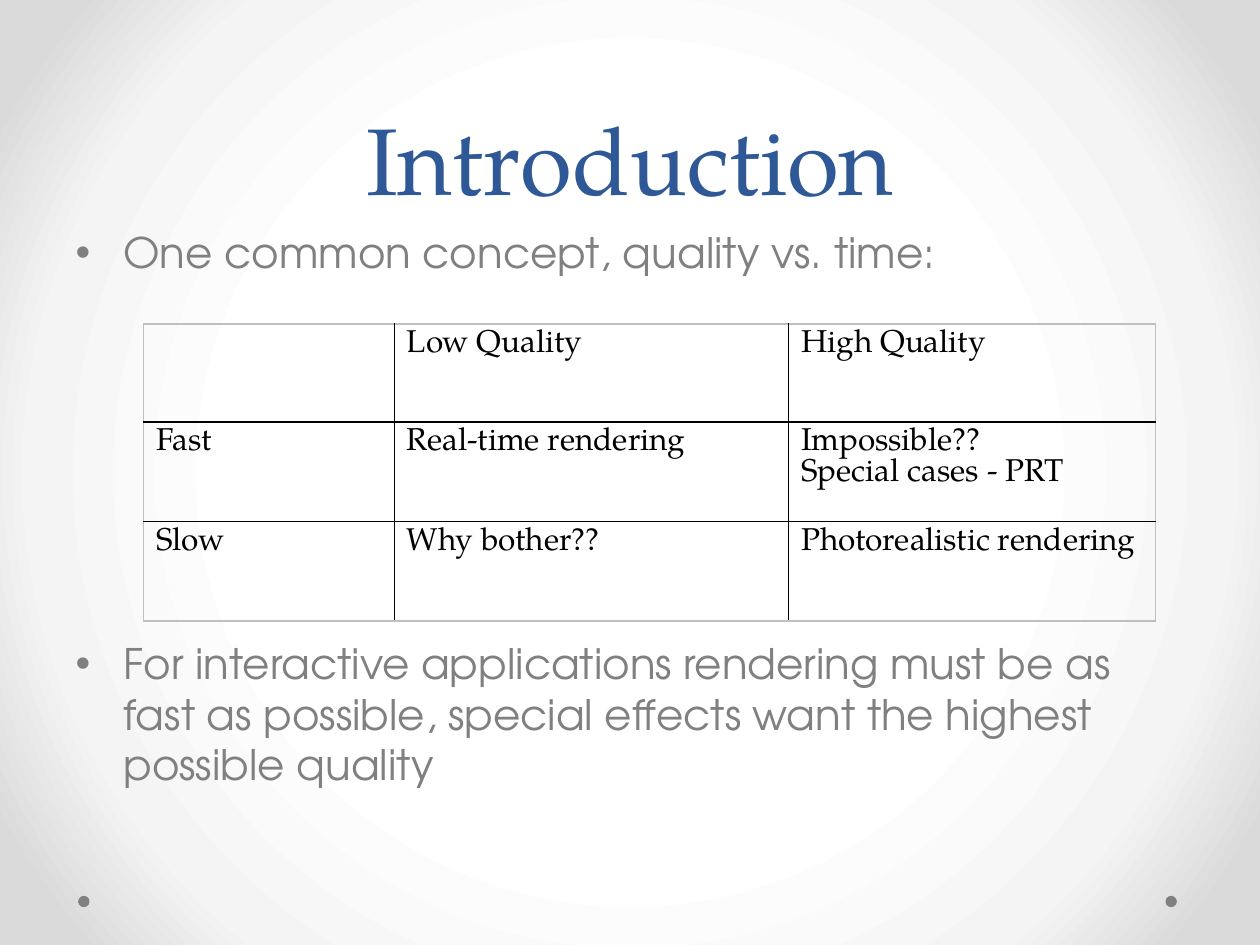
from lxml import etree
from pptx import Presentation
from pptx.dml.color import RGBColor
from pptx.enum.shapes import MSO_SHAPE
from pptx.enum.text import MSO_ANCHOR, MSO_AUTO_SIZE, PP_ALIGN
from pptx.oxml import parse_xml
from pptx.oxml.ns import nsdecls, qn
from pptx.util import Inches, Pt

OVAL = MSO_SHAPE.OVAL
BOTTOM, TOP = MSO_ANCHOR.BOTTOM, MSO_ANCHOR.TOP
CENTER, LEFT = PP_ALIGN.CENTER, PP_ALIGN.LEFT
NO_AUTOFIT = MSO_AUTO_SIZE.NONE

BLUE = RGBColor(0x2F, 0x58, 0x97)
GRAY = RGBColor(0x80, 0x80, 0x80)
LIGHT_GRAY = RGBColor(0xBF, 0xBF, 0xBF)
BLACK = RGBColor(0, 0, 0)
SERIF = "TeX Gyre Pagella"
SANS = "TeX Gyre Adventor"

TITLE_FONT = {"name": SERIF, "size": Pt(54), "bold": False}
BODY_FONT = {"name": SANS, "size": Pt(24), "bold": False}
CELL_FONT = {"name": SERIF, "size": Pt(18), "bold": False}
TITLE_PARAGRAPH = {"alignment": CENTER, "line_spacing": Pt(58)}
CELL_PARAGRAPH = {"alignment": LEFT, "line_spacing": Pt(17.7)}

BACKGROUND_STOPS = [(50, "FFFFFF"), (76, "F4F4F4"), (92, "DADADA")]
BULLETS = [
    ("One common concept, quality vs. time:", 4.8),
    ("For interactive applications rendering must be as fast as possible, "
     "special effects want the highest possible quality", 206),
]
ROWS = [
    ["", "Low Quality", "High Quality"],
    ["Fast", "Real-time rendering", "Impossible??\nSpecial cases - PRT"],
    ["Slow", "Why bother??", "Photorealistic rendering"],
]
COLUMN_WIDTHS = [1.99, 3.13, 2.91]
ROW_HEIGHTS = [0.78, 0.79, 0.79]


def apply_format(target, values):
    for name, value in values.items():
        setattr(target, name, value)


def format_paragraph(paragraph, paragraph_values, font_values, color):
    apply_format(paragraph, paragraph_values)
    for run in paragraph.runs:
        apply_format(run.font, font_values)
        run.font.color.rgb = color


def place(shape, left, top, width, height):
    apply_format(shape, {"left": Inches(left), "top": Inches(top),
                         "width": Inches(width), "height": Inches(height)})


def set_background(slide):
    stops = "".join(
        f'<a:gs pos="{position * 1000}"><a:srgbClr val="{color}"/></a:gs>'
        for position, color in BACKGROUND_STOPS)
    background = parse_xml(
        f'<p:bg {nsdecls("p", "a")}><p:bgPr><a:gradFill rotWithShape="1">'
        f'<a:gsLst>{stops}</a:gsLst><a:path path="circle">'
        '<a:fillToRect l="50000" t="50000" r="50000" b="50000"/></a:path>'
        '</a:gradFill><a:effectLst/></p:bgPr></p:bg>')
    slide.element.cSld.insert(0, background)


def add_dot(slide, left):
    dot = slide.shapes.add_shape(
        OVAL, Inches(left), Inches(7.11), Inches(0.09), Inches(0.09))
    dot.shadow.inherit = False
    dot.fill.solid()
    dot.fill.fore_color.rgb = GRAY
    dot.line.fill.background()


def fill_title(title):
    place(title, 0.5, 0, 9, 1.75)
    frame = title.text_frame
    frame.text = "Introduction"
    apply_format(frame, {"vertical_anchor": BOTTOM, "auto_size": NO_AUTOFIT})
    format_paragraph(frame.paragraphs[0], TITLE_PARAGRAPH, TITLE_FONT, BLUE)


def fill_body(body):
    place(body, 0.5, 1.75, 9, 4.95)
    frame = body.text_frame
    frame.text = "\n".join(text for text, _ in BULLETS)
    apply_format(frame, {"vertical_anchor": TOP, "auto_size": NO_AUTOFIT})
    for paragraph, (_, space) in zip(frame.paragraphs, BULLETS):
        values = {"alignment": LEFT, "space_before": Pt(space)}
        format_paragraph(paragraph, values, BODY_FONT, GRAY)
        properties = paragraph._p.get_or_add_pPr()
        properties.set("marL", str(Inches(0.38)))
        properties.set("indent", str(Inches(-0.38)))
        etree.SubElement(properties, qn("a:buChar"), char="•")


def set_borders(cell, row, column):
    outer_sides = {"L": column == 0, "R": column == len(COLUMN_WIDTHS) - 1,
                   "T": row == 0, "B": row == len(ROW_HEIGHTS) - 1}
    properties = cell._tc.get_or_add_tcPr()
    for index, (side, is_outer) in enumerate(outer_sides.items()):
        color = LIGHT_GRAY if is_outer else BLACK
        properties.insert(index, parse_xml(
            f'<a:ln{side} {nsdecls("a")} w="{Pt(1)}"><a:solidFill>'
            f'<a:srgbClr val="{color}"/></a:solidFill></a:ln{side}>'))


def add_quality_table(slide):
    table = slide.shapes.add_table(
        len(ROWS), len(COLUMN_WIDTHS), Inches(1.14), Inches(2.57),
        Inches(sum(COLUMN_WIDTHS)), Inches(sum(ROW_HEIGHTS))).table
    apply_format(table, {"first_row": False, "horz_banding": False})
    for column, width in zip(table.columns, COLUMN_WIDTHS):
        column.width = Inches(width)
    for row, height in zip(table.rows, ROW_HEIGHTS):
        row.height = Inches(height)
    for row, texts in enumerate(ROWS):
        for column, text in enumerate(texts):
            cell = table.cell(row, column)
            cell.text = text
            cell.fill.background()
            set_borders(cell, row, column)
            for paragraph in cell.text_frame.paragraphs:
                format_paragraph(paragraph, CELL_PARAGRAPH, CELL_FONT, BLACK)


def main():
    presentation = Presentation()
    presentation.slide_width = Inches(10)
    presentation.slide_height = Inches(7.5)
    slide = presentation.slides.add_slide(presentation.slide_layouts[1])
    set_background(slide)
    for left in (9.25, 0.62):
        add_dot(slide, left)
    fill_title(slide.shapes.title)
    fill_body(slide.placeholders[1])
    add_quality_table(slide)
    presentation.save("out.pptx")


if __name__ == "__main__":
    main()
